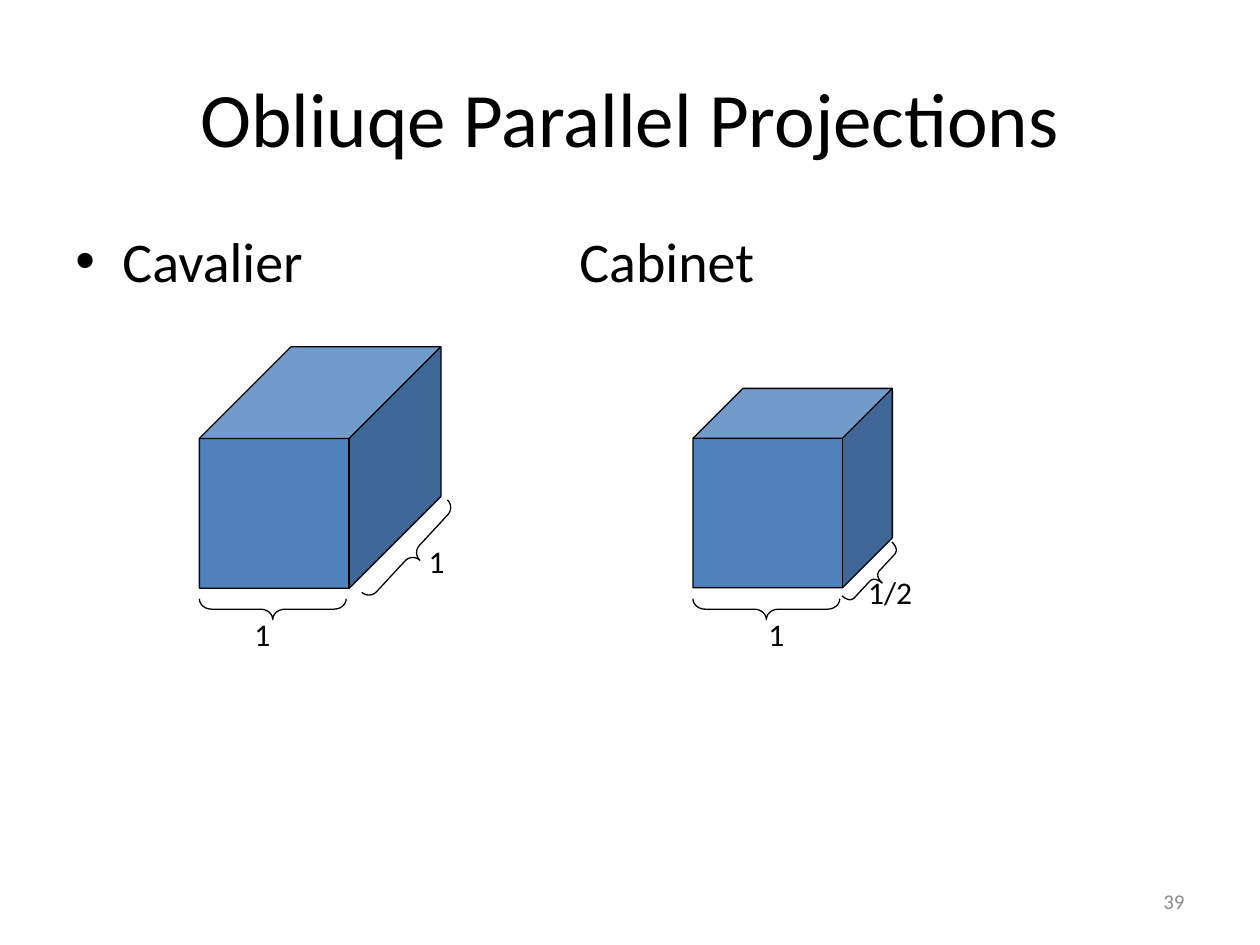
from lxml import etree
from pptx import Presentation
from pptx.dml.color import RGBColor
from pptx.enum.shapes import MSO_SHAPE as Shape
from pptx.enum.text import MSO_ANCHOR as Anchor, MSO_AUTO_SIZE as AutoSize, PP_ALIGN as Align
from pptx.oxml.ns import qn
from pptx.util import Cm, Pt


def color(hex_string):
    return RGBColor.from_string(hex_string)


def add_text(box, text, size, hex_string="000000", align=Align.LEFT, anchor=Anchor.TOP, wrap=True):
    """Add a text box at box (left, top, width, height in cm) and return its paragraph."""
    frame = slide.shapes.add_textbox(*map(Cm, box)).text_frame
    frame.word_wrap = wrap
    frame.auto_size = AutoSize.NONE if wrap else AutoSize.SHAPE_TO_FIT_TEXT
    frame.vertical_anchor = anchor
    paragraph = frame.paragraphs[0]
    paragraph.alignment = align
    run = paragraph.add_run()
    run.text = text
    run.font.name = "Calibri"
    run.font.size = Pt(size)
    run.font.color.rgb = color(hex_string)
    return paragraph


presentation = Presentation()
presentation.slide_width, presentation.slide_height = Cm(25.4), Cm(19.05)
slide = presentation.slides.add_slide(presentation.slide_layouts[6])

# Page number, title and the bulleted line
add_text((18.2, 17.66, 5.93, 1.01), "39", 12, "8C8C8C", Align.RIGHT, Anchor.MIDDLE)
add_text((1.27, 0.76, 22.86, 3.18), "Obliuqe Parallel Projections", 44,
         align=Align.CENTER, anchor=Anchor.MIDDLE)
heading = add_text((1.27, 4.45, 22.86, 12.57), "Cavalier\t\t\tCabinet", 32)
properties = heading._p.get_or_add_pPr()
properties.set("marL", str(Cm(0.95)))
properties.set("indent", str(Cm(-0.95)))
properties.set("defTabSz", str(Cm(2.54)))
etree.SubElement(properties, qn("a:buFont"), typeface="Arial")
etree.SubElement(properties, qn("a:buChar"), char="•")

# Cubes and the braces that measure their edges: left, top, width, height, rotation, adjustments
cube_fill = "4F81BD"
figures = [
    (Shape.CUBE, 4.02, 6.99, 4.87, 4.87, 0, [0.38]),
    (Shape.CUBE, 13.97, 7.83, 4.02, 4.02, 0, [0.25]),
    (Shape.LEFT_BRACE, 5.29, 10.8, 0.42, 2.96, 270, [0.58, 0.5]),
    (Shape.LEFT_BRACE, 15.24, 10.8, 0.42, 2.96, 270, [0.58, 0.5]),
    (Shape.LEFT_BRACE, 8.1, 9.88, 0.42, 2.54, 222.8, [0.5, 0.5]),
    (Shape.LEFT_BRACE, 17.42, 10.87, 0.42, 1.48, 222.8, [0.29, 0.5]),
]
for kind, left, top, width, height, rotation, adjustments in figures:
    shape = slide.shapes.add_shape(kind, Cm(left), Cm(top), Cm(width), Cm(height))
    shape.shadow.inherit = False
    shape.rotation = rotation
    for index, value in enumerate(adjustments):
        shape.adjustments[index] = value
    if kind == Shape.CUBE:
        shape.fill.solid()
        shape.fill.fore_color.rgb = color(cube_fill)
    else:
        shape.fill.background()
    shape.line.color.rgb = color("000000")
    shape.line.width = Pt(0.75)

# Edge lengths
for left, top, width, length in [
    (4.88, 12.28, 0.94, "1"),
    (8.39, 10.8, 0.94, "1"),
    (15.24, 12.28, 0.94, "1"),
    (17.25, 11.43, 1.6, "1/2"),
]:
    add_text((left, top, width, 1.27), length, 18, wrap=False)

presentation.save("out.pptx")
